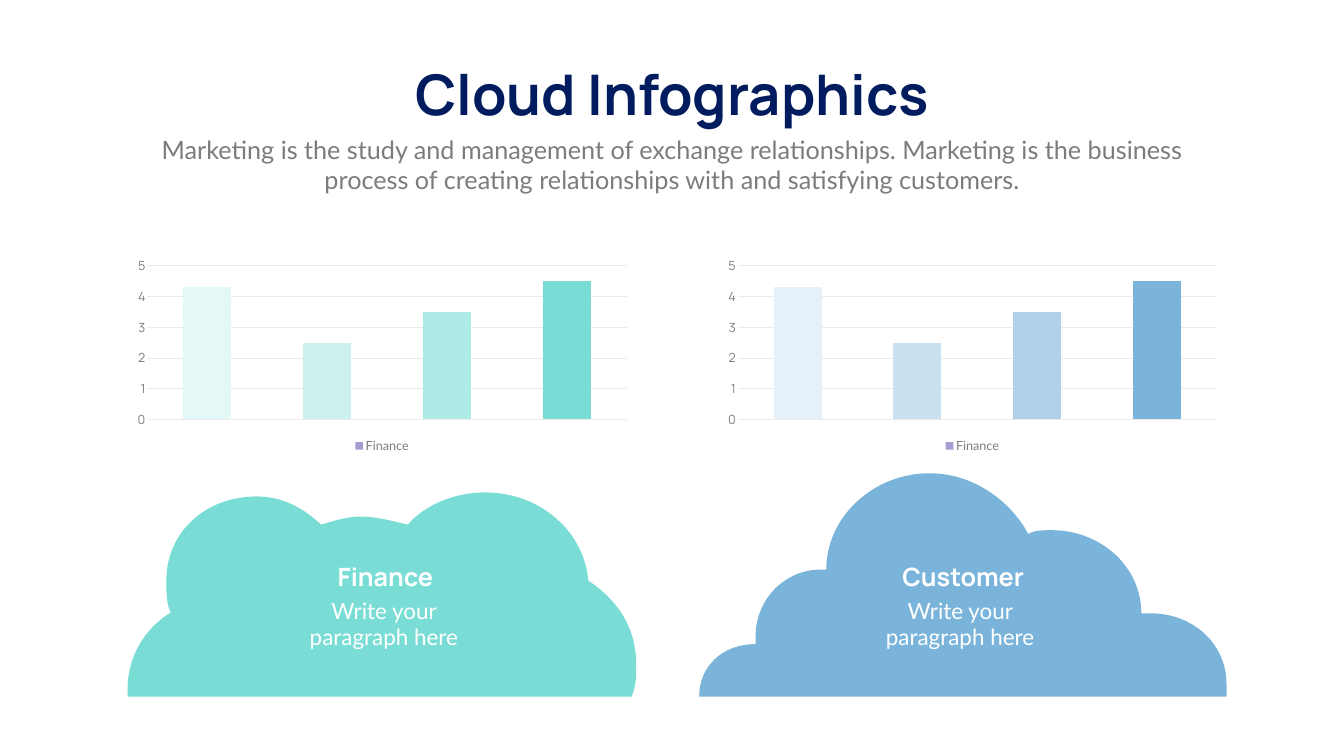
from lxml.etree import SubElement
from pptx import Presentation
from pptx.chart.data import CategoryChartData
from pptx.dml.color import RGBColor
from pptx.enum.chart import XL_CHART_TYPE, XL_LEGEND_POSITION, XL_TICK_MARK
from pptx.enum.text import MSO_ANCHOR, MSO_AUTO_SIZE, PP_ALIGN
from pptx.oxml.ns import qn
from pptx.util import Inches, Pt

COLORS = {
    "navy": "001C5E",
    "gray": "7F7A7E",
    "grid": "ECEBEC",
    "violet": "A49DD2",
    "white": "FFFFFF",
    "teal": "7ADDD5",
    "blue": "7BB4DA",
}
TEAL_BARS = ["E4F8F7", "CAF1EE", "AFEBE6", COLORS["teal"]]
BLUE_BARS = ["E5F0F8", "CAE1F0", "B0D2E9", COLORS["blue"]]
BAR_VALUES = (4.3, 2.5, 3.5, 4.5)

FINANCE_CLOUD = [
    (12.53, 13.82),
    (12.62, 13.59, 12.62, 13.43, 12.62, 13.19),
    (12.62, 12.47, 12.27, 11.92, 11.67, 11.52),
    (11.59, 10.56, 10.73, 9.77, 9.62, 9.77),
    (9.03, 9.77, 8.43, 10.01, 8.09, 10.41),
    (7.74, 10.33, 7.48, 10.25, 7.14, 10.25),
    (6.89, 10.25, 6.63, 10.33, 6.37, 10.41),
    (6.03, 10.09, 5.61, 9.85, 5.1, 9.85),
    (4.07, 9.85, 3.3, 10.56, 3.3, 11.52),
    (3.3, 11.76, 3.3, 12, 3.39, 12.15),
    (2.87, 12.47, 2.53, 13.03, 2.53, 13.67),
    (2.53, 13.82),
]
CUSTOMER_CLOUD = [
    (24.33, 13.57),
    (24.33, 12.78, 23.67, 12.17, 22.83, 12.17),
    (22.64, 12.17),
    (22.64, 11.21, 21.8, 10.52, 20.87, 10.52),
    (20.68, 10.52, 20.49, 10.52, 20.4, 10.6),
    (20.03, 9.91, 19.28, 9.39, 18.44, 9.39),
    (17.32, 9.39, 16.39, 10.26, 16.39, 11.3),
    (16.29, 11.3),
    (15.55, 11.3, 14.99, 11.91, 14.99, 12.61),
    (14.99, 12.78),
    (14.33, 12.78, 13.87, 13.22, 13.87, 13.82),
    (24.33, 13.82),
]


def color(value):
    return RGBColor.from_string(value)


def style_font(font, name, size, value, bold=False):
    font.name = name
    font.size = Pt(size)
    font.bold = bold
    font.color.rgb = color(value)


def place(box, left, top, width, height):
    box.left, box.top = Inches(left), Inches(top)
    box.width, box.height = Inches(width), Inches(height)


def write_text(box, text, name, size, value, bold=False, wrap=True):
    frame = box.text_frame
    frame.text = text
    frame.word_wrap = wrap
    frame.auto_size = MSO_AUTO_SIZE.SHAPE_TO_FIT_TEXT
    frame.vertical_anchor = MSO_ANCHOR.TOP
    para = frame.paragraphs[0]
    para.alignment = PP_ALIGN.CENTER
    para.space_before = Pt(0)
    for span in para.runs:
        style_font(span.font, name, size, value, bold)


def add_label(slide, bounds, *style):
    box = slide.shapes.add_textbox(*map(Inches, bounds))
    write_text(box, *style)


def bend_edges(cloud, segments):
    edges = list(cloud._element.iter(qn("a:lnTo")))
    for edge, segment in zip(edges, segments):
        if len(segment) == 2:
            continue
        edge.tag = qn("a:cubicBezTo")
        for point in list(edge):
            edge.remove(point)
        for x, y in zip(segment[::2], segment[1::2]):
            SubElement(edge, qn("a:pt"), x=str(Inches(x) - cloud.left), y=str(Inches(y) - cloud.top))


def add_cloud(slide, outline, value):
    corners = [(Inches(segment[-2]), Inches(segment[-1])) for segment in outline]
    builder = slide.shapes.build_freeform(*corners[0])
    builder.add_line_segments(corners[1:], close=True)
    cloud = builder.convert_to_shape()
    bend_edges(cloud, outline[1:])
    cloud.shadow.inherit = False
    cloud.fill.solid()
    cloud.fill.fore_color.rgb = color(value)
    cloud.line.fill.background()


def add_bar_chart(slide, left, bar_colors):
    data = CategoryChartData()
    data.categories = ["1", "2", "3", "4"]
    data.add_series("Finance", BAR_VALUES)
    bounds = map(Inches, (left, 5.02, 10.1, 4.03))
    chart = slide.shapes.add_chart(XL_CHART_TYPE.COLUMN_STACKED, *bounds, data).chart
    chart.has_title = False
    style_font(chart.font, "Manrope", 18, COLORS["gray"])

    chart.has_legend = True
    chart.legend.position = XL_LEGEND_POSITION.BOTTOM
    chart.legend.include_in_layout = False
    style_font(chart.legend.font, "Lato", 18, COLORS["gray"])

    chart.category_axis.visible = False
    axis = chart.value_axis
    axis.minimum_scale, axis.maximum_scale, axis.major_unit = 0, 5, 1
    axis.major_tick_mark = XL_TICK_MARK.NONE
    axis.format.line.fill.background()
    axis.major_gridlines.format.line.color.rgb = color(COLORS["grid"])
    axis.major_gridlines.format.line.width = Pt(0.75)
    style_font(axis.tick_labels.font, "Manrope", 18, COLORS["gray"])

    plot = chart.plots[0]
    plot.gap_width, plot.overlap = 150, 100
    plot.vary_by_categories = False
    series = plot.series[0]
    series.format.fill.solid()
    series.format.fill.fore_color.rgb = color(COLORS["violet"])
    for index, value in enumerate(bar_colors):
        fill = series.points[index].format.fill
        fill.solid()
        fill.fore_color.rgb = color(value)


def add_heading(slide):
    title, subtitle = slide.placeholders
    place(title, 7.72, 1.14, 11.23, 1.45)
    write_text(title, "Cloud Infographics", "Manrope", 80, COLORS["navy"], True, False)
    place(subtitle, 2.92, 2.61, 20.82, 1.31)
    write_text(
        subtitle,
        "Marketing is the study and management of exchange relationships. "
        "Marketing is the business process of creating relationships with "
        "and satisfying customers.",
        "Lato", 36, COLORS["gray"],
    )


def main():
    deck = Presentation()
    deck.slide_width, deck.slide_height = Inches(26.66), Inches(15)
    slide = deck.slides.add_slide(deck.slide_layouts[0])
    add_heading(slide)
    columns = [
        ("Finance", FINANCE_CLOUD, COLORS["teal"], 2.53, TEAL_BARS, 6.03, 5.89),
        ("Customer", CUSTOMER_CLOUD, COLORS["blue"], 14.24, BLUE_BARS, 17.49, 17.32),
    ]
    for name, outline, value, chart_left, bars, name_left, text_left in columns:
        add_cloud(slide, outline, value)
        add_bar_chart(slide, chart_left, bars)
        add_label(slide, (text_left, 11.79, 3.45, 1.18),
                  "Write your paragraph here", "Lato", 32, COLORS["white"])
        add_label(slide, (name_left, 11.08, 3.23, 0.71),
                  name, "Manrope", 36, COLORS["white"], True)
    deck.save("out.pptx")


if __name__ == "__main__":
    main()
